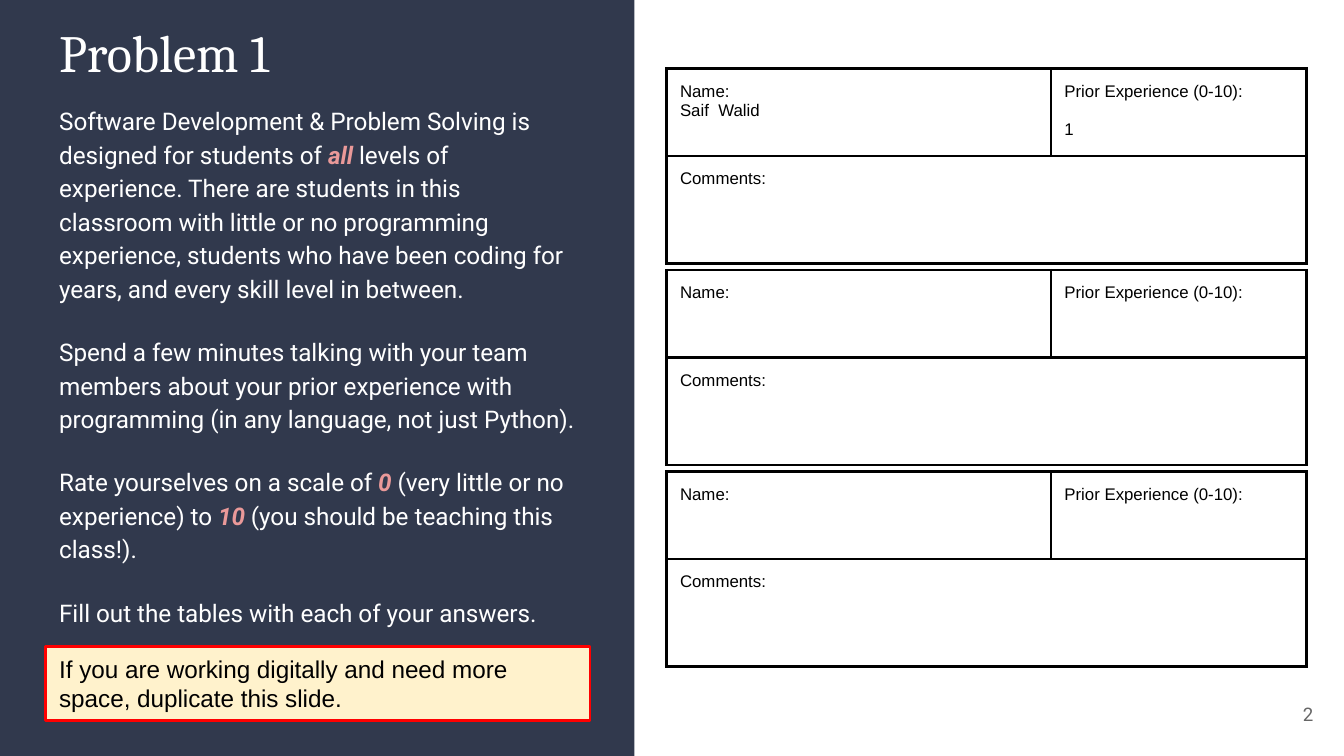
"""Build the Problem 1 slide with its instructions and three answer tables."""
from lxml.etree import SubElement
from pptx import Presentation
from pptx.dml.color import RGBColor
from pptx.enum.shapes import MSO_SHAPE
from pptx.enum.text import MSO_ANCHOR as Anchor, MSO_AUTO_SIZE as AutoSize, PP_ALIGN as Align
from pptx.oxml.ns import qn
from pptx.util import Inches, Pt


def color(value):
    return RGBColor.from_string(value)


def write(frame, paragraphs, font="Arial", size=13, ink="000000", align=Align.LEFT,
          anchor=Anchor.TOP, line_spacing=1, before=0, after=0):
    """Fill a text frame; words between asterisks are emphasised."""
    frame.word_wrap = True
    frame.auto_size = AutoSize.NONE
    frame.vertical_anchor = anchor
    frame.margin_left = frame.margin_right = Inches(0.1)
    frame.margin_top = frame.margin_bottom = Inches(0.1)
    for index, text in enumerate(paragraphs):
        paragraph = frame.add_paragraph() if index else frame.paragraphs[0]
        paragraph.alignment = align
        paragraph.line_spacing = line_spacing
        paragraph.space_before = Pt(before if index else 0)
        paragraph.space_after = Pt(after if index == len(paragraphs) - 1 else 0)
        properties = paragraph._p.get_or_add_pPr()
        properties.set("marL", "0")
        properties.set("indent", "0")
        SubElement(properties, qn("a:buNone"))
        for part, words in enumerate(text.split("*")):
            run = paragraph.add_run()
            run.text = words
            run.font.name = font
            run.font.size = Pt(size)
            emphasised = part % 2 == 1
            run.font.bold = run.font.italic = emphasised
            run.font.color.rgb = color("EA9999" if emphasised else ink)


presentation = Presentation()
presentation.slide_width = Inches(10)
presentation.slide_height = Inches(10) * 9 // 16
slide = presentation.slides.add_slide(presentation.slide_layouts[3])
title, body, note = slide.placeholders

panel = slide.shapes.add_shape(MSO_SHAPE.RECTANGLE, 0, 0, Inches(4.72), presentation.slide_height)
panel.shadow.inherit = False
panel.fill.solid()
panel.fill.fore_color.rgb = color("31394D")
panel.line.fill.background()
slide.shapes._spTree.insert(2, panel._element)

for shape, top, height in [(title, 0.05, 0.7), (body, 0.66, 4.11), (note, 4.81, 0.55)]:
    shape.left, shape.top = Inches(0.34), Inches(top)
    shape.width, shape.height = Inches(4.05), Inches(height)

write(title.text_frame, ["Problem 1"], font="Cambria", size=28, ink="FFFFFF")
write(body.text_frame, [
    "Software Development & Problem Solving is designed for students of *all *levels of "
    "experience. There are students in this classroom with little or no programming "
    "experience, students who have been coding for years, and every skill level in between.",
    "Spend a few minutes talking with your team members about your prior experience with "
    "programming (in any language, not just Python).",
    "Rate yourselves on a scale of *0* (very little or no experience) to *10* "
    "(you should be teaching this class!).",
    "Fill out the tables with each of your answers.",
], font="Roboto", ink="FFFFFF", line_spacing=1.15, before=16, after=16)
write(note.text_frame, ["If you are working digitally and need more space, duplicate this slide."],
      anchor=Anchor.MIDDLE)
note.fill.solid()
note.fill.fore_color.rgb = color("FFF2CC")
note.line.color.rgb = color("FF0000")
note.line.width = Pt(1.5)

answers = [("Saif  Walid", "1"), (), ()]
for index, answer in enumerate(answers):
    top = 0.51 + 1.5 * index
    table = slide.shapes.add_table(2, 2, Inches(4.96), Inches(top), Inches(4.76), Inches(1.45)).table
    table.first_row = table.horz_banding = False
    table.columns[0].width, table.columns[1].width = Inches(2.86), Inches(1.9)
    table.rows[0].height, table.rows[1].height = Inches(0.65), Inches(0.8)
    table.cell(1, 0).merge(table.cell(1, 1))
    for cell in table.iter_cells():
        cell.margin_left = cell.margin_right = Inches(0.1)
        cell.margin_top = cell.margin_bottom = Inches(0.1)
        properties = cell._tc.get_or_add_tcPr()
        for side in ("lnL", "lnR", "lnT", "lnB"):
            border = SubElement(properties, qn(f"a:{side}"), w=str(Pt(1.5)))
            SubElement(SubElement(border, qn("a:solidFill")), qn("a:srgbClr"), val="000000")
        cell.fill.background()
    name, experience = answer or ("", "")
    write(table.cell(0, 0).text_frame, ["Name:"] + [name] * bool(name), size=9)
    write(table.cell(0, 1).text_frame, ["Prior Experience (0-10):"] + [experience] * bool(experience),
          size=9, before=10.35)
    write(table.cell(1, 0).text_frame, ["Comments:"], size=9)

number = slide.shapes.add_textbox(Inches(9.27), Inches(5.1), Inches(0.6), Inches(0.43))
write(number.text_frame, ["2"], font="Roboto", size=10, ink="666666",
      align=Align.RIGHT, anchor=Anchor.MIDDLE)

presentation.save("out.pptx")
